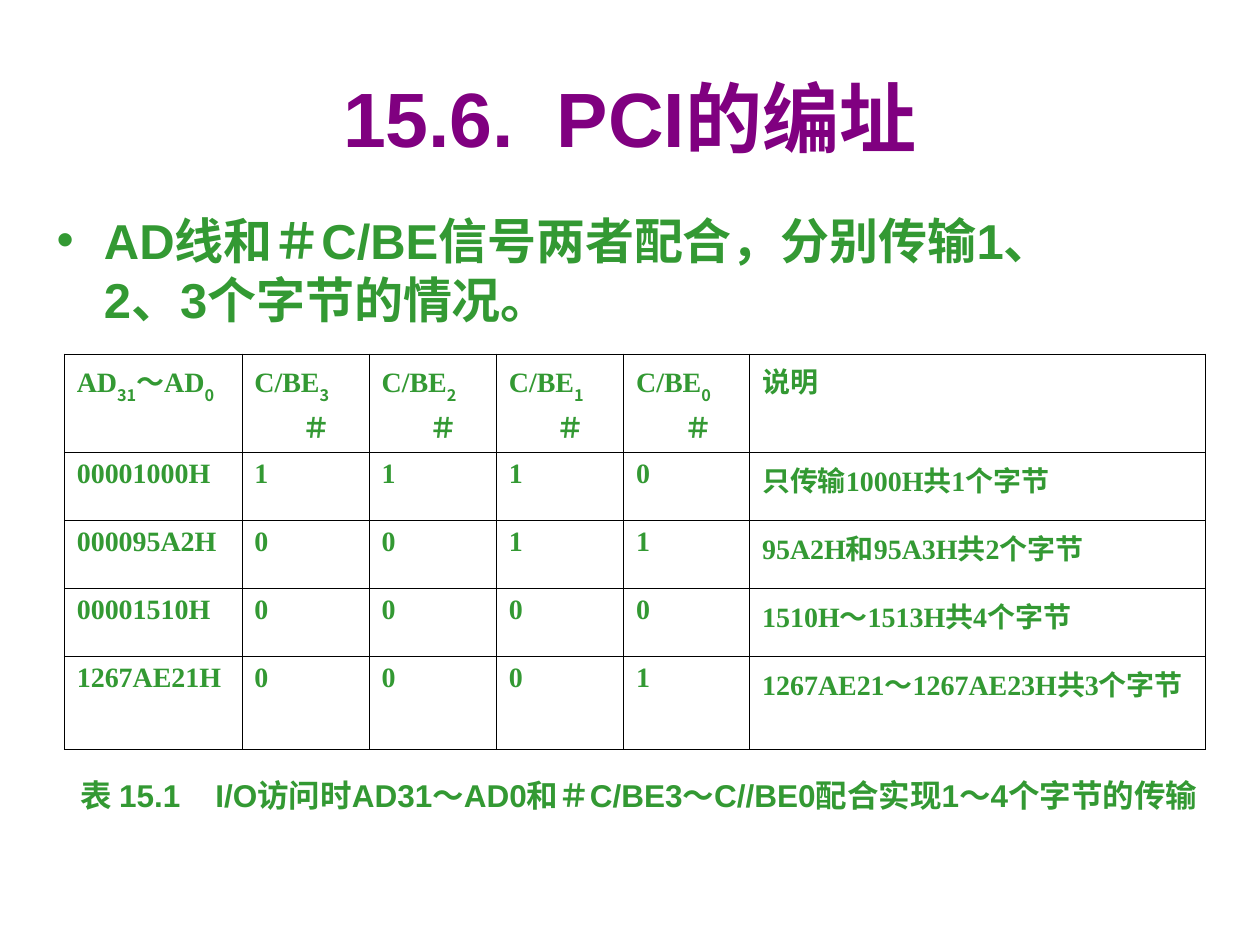
from lxml import etree
from pptx import Presentation
from pptx.dml.color import RGBColor
from pptx.enum.text import MSO_ANCHOR, MSO_AUTO_SIZE, PP_ALIGN
from pptx.oxml.ns import qn
from pptx.util import Inches, Pt

CENTER = PP_ALIGN.CENTER
MIDDLE = MSO_ANCHOR.MIDDLE
NO_FIT = MSO_AUTO_SIZE.NONE
GROW = MSO_AUTO_SIZE.SHAPE_TO_FIT_TEXT
PURPLE = RGBColor(0x80, 0x00, 0x80)
GREEN = RGBColor(0x33, 0x99, 0x33)
BLACK = RGBColor(0x00, 0x00, 0x00)
CJK = "Noto Sans CJK SC"


def style(paragraph, size, color, latin):
    font = paragraph.font
    font.size, font.bold, font.name = Pt(size), True, latin
    font.color.rgb = color
    props = paragraph._p.get_or_add_pPr().find(qn("a:defRPr"))
    props.find(qn("a:latin")).addnext(
        etree.Element(qn("a:ea"), typeface=CJK))


def add_solid(parent, color):
    solid = etree.SubElement(parent, qn("a:solidFill"))
    etree.SubElement(solid, qn("a:srgbClr"), val=str(color))


prs = Presentation()
prs.slide_width, prs.slide_height = Inches(10), Inches(7.5)
slide = prs.slides.add_slide(prs.slide_layouts[1])

# Title
title = slide.shapes.title
title.left, title.top = Inches(0.5), Inches(0.3)
title.width, title.height = Inches(9), Inches(1.25)
title.text_frame.text = "15.6.  PCI的编址"
title.text_frame.auto_size = NO_FIT
style(title.text_frame.paragraphs[0], 44, PURPLE, "Arial")

# Bulleted statement, with the bullet in the text colour
statement = slide.placeholders[1]
statement.left, statement.top = Inches(0.35), Inches(1.62)
statement.width, statement.height = Inches(8.66), Inches(1.34)
statement.text_frame.text = "AD线和＃C/BE信号两者配合，分别传输1、2、3个字节的情况。"
statement.text_frame.auto_size = NO_FIT
point = statement.text_frame.paragraphs[0]
point.space_before = Pt(7)
style(point, 28, GREEN, "Arial")
bullet_color = etree.Element(qn("a:buClr"))
etree.SubElement(bullet_color, qn("a:srgbClr"), val=str(GREEN))
point._p.pPr.find(qn("a:defRPr")).addprevious(bullet_color)

# Addressing table; text between underscores is subscript
rows = [
    ["AD_31_～AD_0_", *[f"C/BE_{n}_＃" for n in (3, 2, 1, 0)], "说明"],
    ["00001000H", *"1110", "只传输1000H共1个字节"],
    ["000095A2H", *"0011", "95A2H和95A3H共2个字节"],
    ["00001510H", *"0000", "1510H～1513H共4个字节"],
    ["1267AE21H", *"0001", "1267AE21～1267AE23H共3个字节"],
]
col_widths = [1.41, 1.01, 1.01, 1.01, 1, 3.62]
row_heights = [0.68, 0.54, 0.54, 0.54, 0.64]
addresses = slide.shapes.add_table(
    len(rows), len(col_widths), Inches(0.51), Inches(2.81),
    Inches(sum(col_widths)), Inches(sum(row_heights))).table
addresses.first_row = addresses.horz_banding = False
for column, width in zip(addresses.columns, col_widths):
    column.width = Inches(width)
for row, height in zip(addresses.rows, row_heights):
    row.height = Inches(height)

for r, entries in enumerate(rows):
    for c, entry in enumerate(entries):
        cell = addresses.cell(r, c)
        paragraph = cell.text_frame.paragraphs[0]
        style(paragraph, 16, GREEN, "Times New Roman")
        paragraph._p.pPr.set("marL", str(Inches(0.38)))
        paragraph._p.pPr.set("indent", str(-Inches(0.38)))
        for i, part in enumerate(entry.split("_")):
            if not part:
                continue
            run = paragraph.add_run()
            run.text = part
            if i % 2:
                run.font.name = CJK
                run.font._element.set("baseline", "-30000")
        cell_props = cell._tc.get_or_add_tcPr()
        for side in ("lnL", "lnR", "lnT", "lnB"):
            border = etree.SubElement(
                cell_props, qn(f"a:{side}"), w=str(Pt(0.45)))
            add_solid(border, BLACK)
        cell.fill.background()

# Table caption
caption = slide.shapes.add_textbox(
    Inches(0.12), Inches(6.11), Inches(9.9), Inches(0.4)).text_frame
caption.text = "表 15.1    I/O访问时AD31～AD0和＃C/BE3～C//BE0配合实现1～4个字节的传输"
caption.word_wrap = False
caption.auto_size = GROW
caption.vertical_anchor = MIDDLE
caption.paragraphs[0].alignment = CENTER
style(caption.paragraphs[0], 18, GREEN, "Arial")

prs.save("out.pptx")
